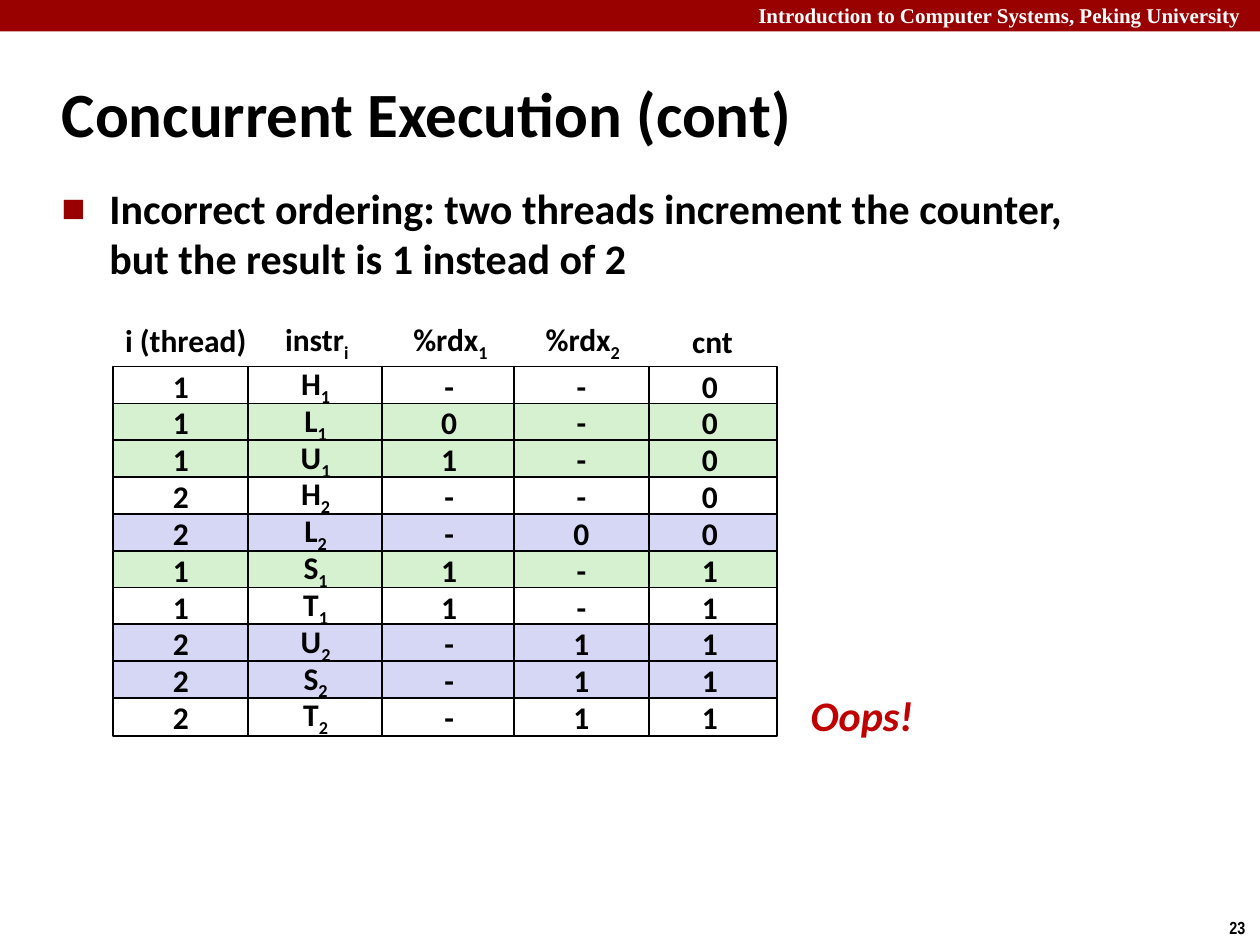
import lxml.etree
import pptx
import pptx.dml.color
import pptx.enum.shapes
import pptx.enum.text
import pptx.oxml
import pptx.oxml.ns
import pptx.util

Inches = pptx.util.Inches
RGBColor = pptx.dml.color.RGBColor
PP_ALIGN = pptx.enum.text.PP_ALIGN
MSO_ANCHOR = pptx.enum.text.MSO_ANCHOR
RECT = pptx.enum.shapes.MSO_SHAPE.RECTANGLE

BLACK = RGBColor(0x00, 0x00, 0x00)
WHITE = RGBColor(0xFF, 0xFF, 0xFF)
DARK_RED = RGBColor(0x99, 0x00, 0x00)
RED = RGBColor(0xC0, 0x00, 0x00)
GREEN = RGBColor(0xD5, 0xF1, 0xCF)
LAVENDER = RGBColor(0xD6, 0xD6, 0xF5)


def write(sp, text, size=18, font="Calibri", color=BLACK, italic=False,
          align=PP_ALIGN.CENTER, anchor=MSO_ANCHOR.MIDDLE, wrap=True):
    tf = sp.text_frame
    tf.auto_size = pptx.enum.text.MSO_AUTO_SIZE.NONE
    tf.word_wrap = wrap
    tf.vertical_anchor = anchor
    p = tf.paragraphs[0]
    p.alignment = align
    for i, part in enumerate(text.split("_")):
        r = p.add_run()
        r.text = part
        r.font.size = pptx.util.Pt(size)
        r.font.name = font
        r.font.bold = True
        r.font.italic = italic
        r.font.color.rgb = color
        if i:
            r._r.get_or_add_rPr().set("baseline", "-25000")
    return p


def add_rect(left, top, width, height, fill):
    sp = s.shapes.add_shape(RECT, Inches(left), Inches(top), Inches(width), Inches(height))
    sp.shadow.inherit = False
    sp.fill.solid()
    sp.fill.fore_color.rgb = fill
    return sp


prs = pptx.Presentation()
prs.slide_width = Inches(10)
prs.slide_height = Inches(7.5)
s = prs.slides.add_slide(prs.slide_layouts[5])

band = add_rect(0, 0, 10, 0.25, DARK_RED)
band.line.fill.background()
course = s.shapes.add_textbox(Inches(5.92), Inches(-0.03), Inches(4.15), Inches(0.3))
write(course, "Introduction to Computer Systems, Peking University", size=12,
      font="Times New Roman", color=WHITE, align=PP_ALIGN.LEFT, anchor=MSO_ANCHOR.TOP)
number = s.shapes.add_textbox(Inches(9.66), Inches(7.23), Inches(0.34), Inches(0.27))
write(number, "23", size=10, font="Arial Narrow", align=PP_ALIGN.LEFT,
      anchor=MSO_ANCHOR.TOP, wrap=False)

title = s.shapes.title
title.left, title.top = Inches(0.39), Inches(0.48)
title.width, title.height = Inches(8.3), Inches(0.83)
write(title, "Concurrent Execution (cont)", size=36, align=PP_ALIGN.LEFT)

body = s.shapes.add_textbox(Inches(0.39), Inches(1.4), Inches(8.64), Inches(0.94))
p = write(body, "Incorrect ordering: two threads increment the counter, "
          "but the result is 1 instead of 2",
          size=24, align=PP_ALIGN.LEFT, anchor=MSO_ANCHOR.TOP)
pPr = p._p.get_or_add_pPr()
pPr.set("marL", str(Inches(0.38)))
pPr.set("indent", str(Inches(-0.38)))
color = lxml.etree.SubElement(pPr, pptx.oxml.ns.qn("a:buClr"))
lxml.etree.SubElement(color, pptx.oxml.ns.qn("a:srgbClr"), val=str(DARK_RED))
for tag, attrs in [("a:buSzPct", {"val": "60000"}),
                   ("a:buFont", {"typeface": "Calibri"}),
                   ("a:buChar", {"char": "■"})]:
    lxml.etree.SubElement(pPr, pptx.oxml.ns.qn(tag), attrs)

steps = [
    (WHITE, "1", "H_1", "-", "-", "0"),
    (GREEN, "1", "L_1", "0", "-", "0"),
    (GREEN, "1", "U_1", "1", "-", "0"),
    (WHITE, "2", "H_2", "-", "-", "0"),
    (LAVENDER, "2", "L_2", "-", "0", "0"),
    (GREEN, "1", "S_1", "1", "-", "1"),
    (WHITE, "1", "T_1", "1", "-", "1"),
    (LAVENDER, "2", "U_2", "-", "1", "1"),
    (LAVENDER, "2", "S_2", "-", "1", "1"),
    (WHITE, "2", "T_2", "-", "1", "1"),
]
lefts = [0.9, 1.97, 3.03, 4.08, 5.1]
row_pitch = 2.63 / 9
for col in [0, 1, 2, 4, 3]:
    for row, (fill, *values) in enumerate(steps):
        cell = add_rect(lefts[col], 2.91 + row * row_pitch, 1.07, 0.3, fill)
        cell.line.color.rgb = BLACK
        cell.line.width = pptx.util.Pt(1)
        write(cell, values[col])

labels = [
    ("i (thread)", 0.89, 2.5, 1.17, 0.4),
    ("instr_i", 2.16, 2.51, 0.71, 0.4),
    ("%rdx_1", 3.17, 2.51, 0.81, 0.4),
    ("%rdx_2", 4.22, 2.51, 0.81, 0.4),
    ("cnt", 5.39, 2.51, 0.53, 0.4),
]
for text, *box in labels:
    write(s.shapes.add_textbox(*map(Inches, box)), text, wrap=False)

oops = s.shapes.add_textbox(Inches(6.33), Inches(5.42), Inches(1.02), Inches(0.5))
write(oops, "Oops!", size=24, color=RED, italic=True, wrap=False)

prs.save("out.pptx")
